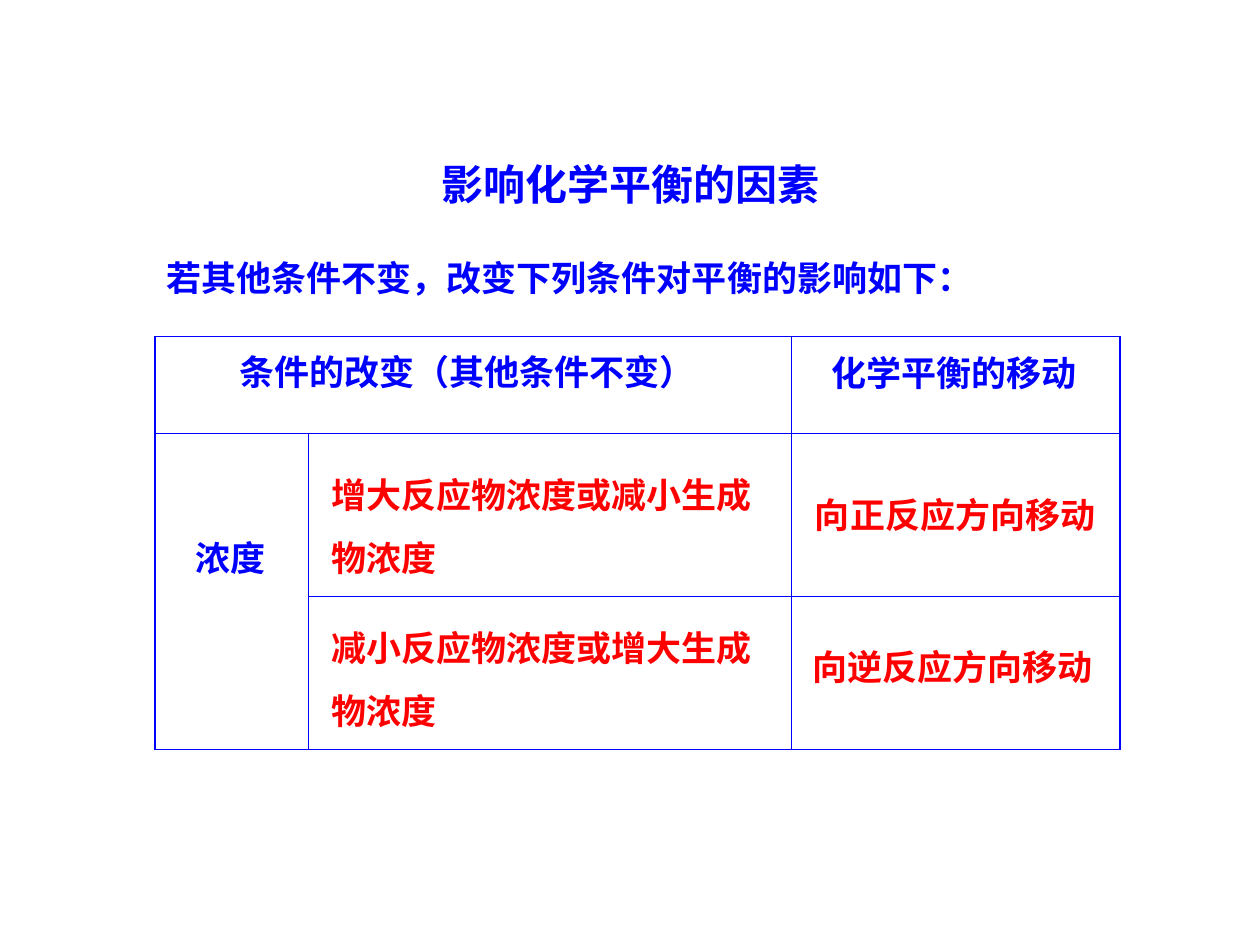
from dataclasses import dataclass

from lxml.etree import SubElement
from pptx import Presentation
from pptx.dml.color import RGBColor
from pptx.enum.text import MSO_ANCHOR, MSO_AUTO_SIZE, PP_ALIGN
from pptx.oxml.ns import qn
from pptx.util import Inches, Pt


@dataclass(frozen=True)
class Theme:
    font: str = "Noto Sans CJK SC"
    blue: RGBColor = RGBColor(0x00, 0x00, 0xFF)
    red: RGBColor = RGBColor(0xFF, 0x00, 0x00)
    title: Pt = Pt(24)
    body: Pt = Pt(20)
    outer: Pt = Pt(1.08)
    inner: Pt = Pt(0.45)


THEME = Theme()


def write(tf, lines, size, color, align=PP_ALIGN.LEFT, spacing=1.0):
    tf.word_wrap = True
    tf.auto_size = MSO_AUTO_SIZE.NONE
    tf.vertical_anchor = MSO_ANCHOR.TOP
    for i, line in enumerate(lines):
        p = tf.add_paragraph() if i else tf.paragraphs[0]
        p.text = line
        p.alignment = align
        p.line_spacing = spacing
        p.space_before = Pt(0)
        p.font.size = size
        p.font.bold = True
        p.font.color.rgb = color
        p.font.name = THEME.font
        SubElement(p.font._element, qn("a:ea"), typeface=THEME.font)


def add_label(slide, box, lines, color, spacing=1.0):
    sp = slide.shapes.add_textbox(*map(Inches, box))
    write(sp.text_frame, lines, THEME.body, color, spacing=spacing)


def add_title(slide, box, text):
    sp = slide.shapes.title
    sp.left, sp.top, sp.width, sp.height = map(Inches, box)
    write(sp.text_frame, [text], THEME.title, THEME.blue, PP_ALIGN.CENTER)


def set_borders(cell, widths):
    tc_pr = cell._tc.get_or_add_tcPr()
    for i, (side, width) in enumerate(zip("LRTB", widths)):
        ln = SubElement(tc_pr, qn(f"a:ln{side}"), w=str(int(width)))
        fill = SubElement(ln, qn("a:solidFill"))
        SubElement(fill, qn("a:srgbClr"), val=str(THEME.blue))
        tc_pr.insert(i, ln)


def add_grid(slide, box, cols, rows):
    frame = slide.shapes.add_table(len(rows), len(cols), *map(Inches, box))
    table = frame.table
    table.first_row = table.horz_banding = False
    for col, width in zip(table.columns, cols):
        col.width = Inches(width)
    for row, height in zip(table.rows, rows):
        row.height = Inches(height)
    for r in range(len(rows)):
        for c in range(len(cols)):
            cell = table.cell(r, c)
            cell.fill.background()
            edges = (c == 0, c == len(cols) - 1, r == 0, r == len(rows) - 1)
            set_borders(cell, [THEME.outer if e else THEME.inner for e in edges])
    table.cell(0, 0).merge(table.cell(0, 1))
    table.cell(1, 0).merge(table.cell(2, 0))


def add_factor_table(slide, box):
    left, top, _, _ = box
    add_grid(slide, box, cols=(1.22, 3.83, 2.61), rows=(0.77, 1.29, 1.22))
    headings = [
        (0.57, 0.06, 4.47, "条件的改变（其他条件不变）"),
        (5.27, 0.07, 2.54, "化学平衡的移动"),
        (0.22, 1.54, 1.0, "浓度"),
    ]
    for x, y, width, text in headings:
        add_label(slide, (left + x, top + y, width, 0.44), [text], THEME.blue)
    effects = [
        (0.87, "增大反应物浓度或减小生成", 5.14, 1.2, "向正反应方向移动"),
        (2.09, "减小反应物浓度或增大生成", 5.12, 2.4, "向逆反应方向移动"),
    ]
    for y, change, shift_x, shift_y, shift in effects:
        add_label(slide, (left + 1.3, top + y, 3.74, 1.1),
                  [change, "物浓度"], THEME.red, spacing=1.5)
        add_label(slide, (left + shift_x, top + shift_y, 2.66, 0.44),
                  [shift], THEME.red)


def main():
    prs = Presentation()
    prs.slide_width, prs.slide_height = Inches(10), Inches(7.5)
    s = prs.slides.add_slide(prs.slide_layouts[5])
    add_title(s, (2.48, 1.21, 5.05, 0.5), "影响化学平衡的因素")
    add_label(s, (1.22, 1.99, 7.75, 0.44),
              ["若其他条件不变，改变下列条件对平衡的影响如下："], THEME.blue)
    add_factor_table(s, (1.23, 2.67, 7.66, 3.28))
    prs.save("out.pptx")


if __name__ == "__main__":
    main()
